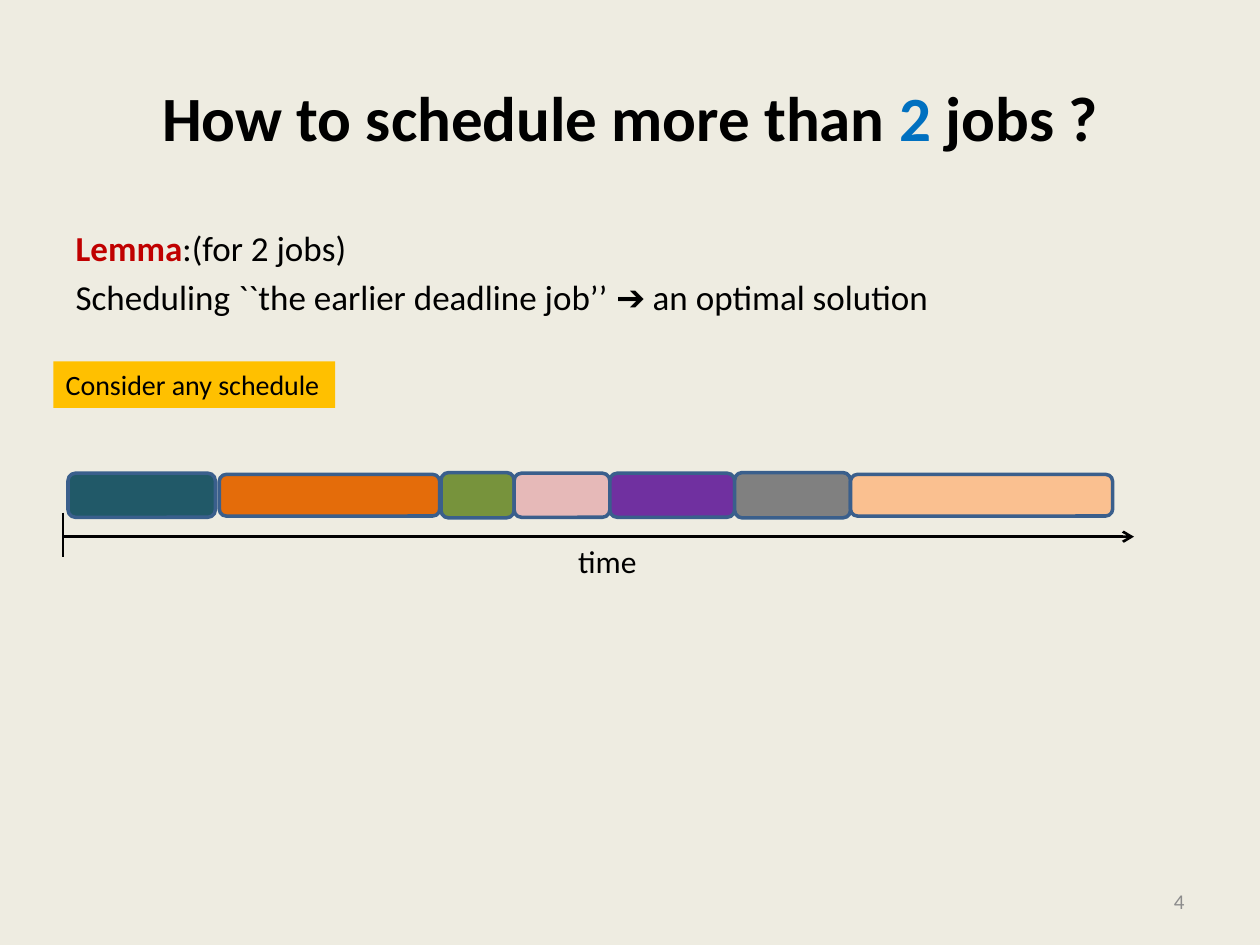
from lxml import etree
from pptx import Presentation
from pptx.dml.color import RGBColor
from pptx.enum import shapes, text
from pptx.oxml.ns import qn
from pptx.util import Pt

THEME = {
    "font": "Calibri",
    "back": "EEECE1", "ink": "000000", "lemma": "C00000", "accent": "0070C0",
    "number": "8C8C8C", "label": "FFC000", "outline": "3A5F8C",
    "title_size": 36, "body_size": 20, "time_size": 18,
    "label_size": 16, "number_size": 12,
}

# Content: spans are (wording, colour, bold)
TITLE = [[("How to schedule more than ", "ink", True), ("2", "accent", True),
          (" jobs ?", "ink", True)]]
LEMMA = [
    [("Lemma", "lemma", True), (":(for 2 jobs)", "ink", False)],
    [("Scheduling ``the earlier deadline job’’ ➔ an optimal solution", "ink", False)],
]
LABEL = [[("Consider any schedule", "ink", False)]]
TIME = [[("time", "ink", False)]]
NUMBER = [[("4", "number", False)]]

# Jobs in time order: (gap before, width, height, fill)
JOBS = [
    (0, 84.2, 25.2, "215968"),
    (2.2, 126, 23.8, "E46C0A"),
    (0.7, 41.8, 25.9, "77933C"),
    (0, 54.7, 25.2, "E6B9B8"),
    (0, 71.3, 25.2, "7030A0"),
    (0, 66.2, 25.9, "808080"),
    (0, 149.8, 23.8, "FAC090"),
]
JOBS_LEFT, JOBS_MIDDLE = 38.9, 283
AXIS_LEFT, AXIS_RIGHT, AXIS_Y = 36, 648, 306.7
TICK_TOP, TICK_BOTTOM = 293, 318.2


def colour(value):
    return RGBColor.from_string(THEME.get(value, value))


def place(box, left, top, width, height):
    box.left, box.top, box.width, box.height = map(Pt, (left, top, width, height))


def write(box, paragraphs, size, align=text.PP_ALIGN.LEFT,
          anchor=text.MSO_ANCHOR.TOP, wrap=True):
    frame = box.text_frame
    frame.word_wrap = wrap
    frame.vertical_anchor = anchor
    for index, spans in enumerate(paragraphs):
        para = frame.add_paragraph() if index else frame.paragraphs[0]
        para.alignment = align
        para.space_before = Pt(0.2 * THEME[size] if index else 0)
        for wording, tint, bold in spans:
            span = para.add_run()
            span.text = wording
            span.font.name = THEME["font"]
            span.font.size = Pt(THEME[size])
            span.font.bold = bold
            span.font.color.rgb = colour(tint)


def add_line(group, start, end, arrow=False):
    line = group.shapes.add_connector(
        shapes.MSO_CONNECTOR.STRAIGHT, *map(Pt, start + end))
    line.line.color.rgb = colour("ink")
    line.line.width = Pt(1.5)
    if arrow:
        etree.SubElement(line.line._get_or_add_ln(), qn("a:tailEnd"), type="arrow")
    etree.SubElement(line._element.spPr, qn("a:effectLst"))


def add_text(parent, area, paragraphs, size, **layout):
    box = parent.add_textbox(*map(Pt, area))
    write(box, paragraphs, size, **layout)
    return box


def main():
    deck = Presentation()
    deck.slide_width, deck.slide_height = Pt(720), Pt(540)
    page = deck.slides.add_slide(deck.slide_layouts[1])
    page.background.fill.solid()
    page.background.fill.fore_color.rgb = colour("back")

    # Title and lemma
    title, body = page.placeholders
    place(title, 36, 21.6, 648, 90)
    write(title, TITLE, "title_size", text.PP_ALIGN.CENTER, text.MSO_ANCHOR.MIDDLE)
    place(body, 36, 126, 648, 356.4)
    write(body, LEMMA, "body_size")
    for para in body.text_frame.paragraphs:
        props = para._p.get_or_add_pPr()
        props.set("marL", "0")
        props.set("indent", "0")
        etree.SubElement(props, qn("a:buNone"))

    # Slide number
    add_text(page.shapes, (516.2, 500.4, 167.8, 28.8), NUMBER, "number_size",
             align=text.PP_ALIGN.RIGHT, anchor=text.MSO_ANCHOR.MIDDLE)

    # Jobs laid end to end
    schedule = page.shapes.add_group_shape()
    left = JOBS_LEFT
    for gap, width, height, fill in JOBS:
        left += gap
        job = schedule.shapes.add_shape(
            shapes.MSO_SHAPE.ROUNDED_RECTANGLE,
            *map(Pt, (left, JOBS_MIDDLE - height / 2, width, height)))
        job.shadow.inherit = False
        job.fill.solid()
        job.fill.fore_color.rgb = colour(fill)
        job.line.color.rgb = colour("outline")
        job.line.width = Pt(2)
        left += width

    # Time axis
    axis = page.shapes.add_group_shape()
    add_line(axis, (AXIS_LEFT, AXIS_Y), (AXIS_RIGHT, AXIS_Y), arrow=True)
    add_line(axis, (AXIS_LEFT, TICK_TOP), (AXIS_LEFT, TICK_BOTTOM))
    add_text(axis.shapes, (323.3, 306, 48.2, 28.8), TIME, "time_size", wrap=False)

    # Highlighted label
    label = add_text(page.shapes, (30.5, 206.5, 161, 26.6), LABEL, "label_size",
                     wrap=False)
    label.fill.solid()
    label.fill.fore_color.rgb = colour("label")

    deck.save("out.pptx")


if __name__ == "__main__":
    main()
